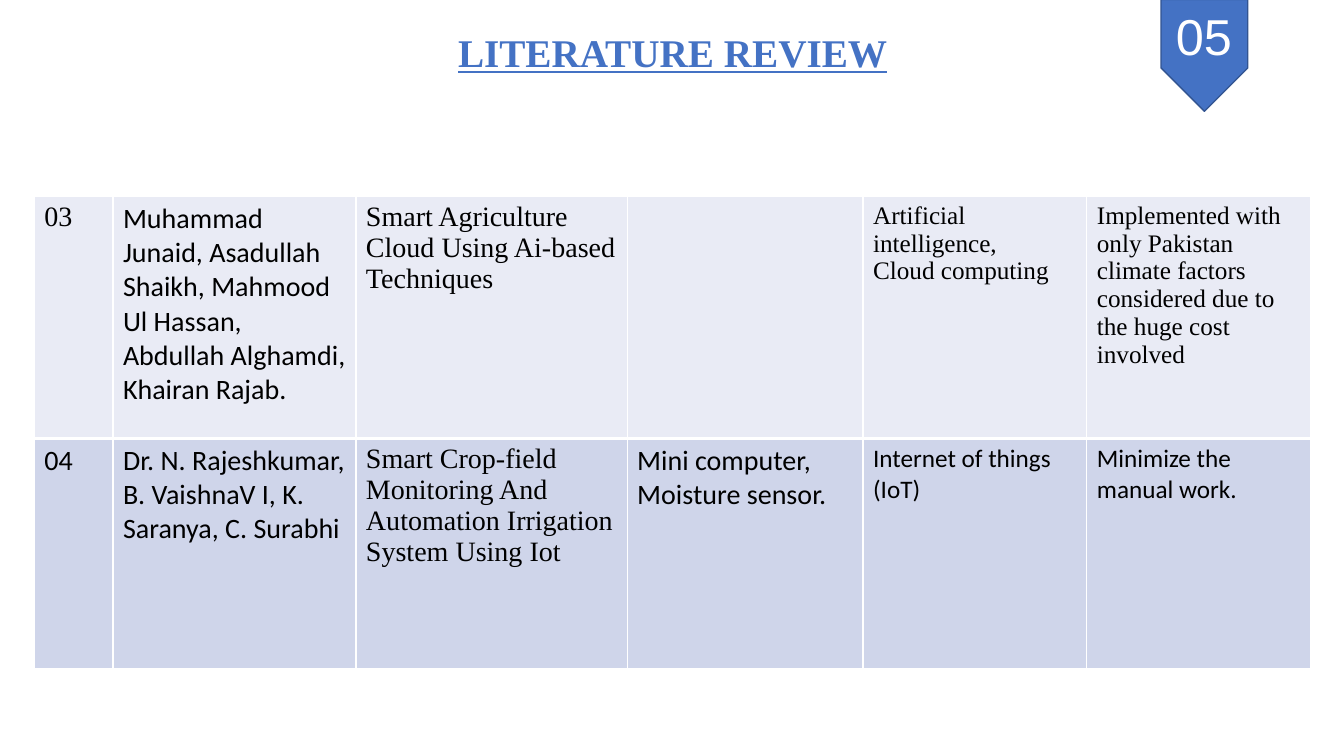
"""Build the literature review slide with its table and page badge."""
from dataclasses import dataclass

from lxml import etree
from pptx import Presentation
from pptx import util as u
from pptx.dml.color import RGBColor
from pptx.enum import shapes, text
from pptx.oxml.ns import qn
from pptx.slide import Slide
from pptx.table import _Cell as Cell
from pptx.text.text import TextFrame

PX = 9144
HUES = {"blue": "4472C4", "edge": "325491", "white": "FFFFFF",
        "black": "000000", "pale": "E9EBF5", "deep": "CFD5EA"}
SERIF, SANS = "Times New Roman", "Calibri"
COLS = [78, 241, 269, 234, 222, 222]
TALL = [240, 228]


@dataclass
class Entry:
    """Words of one table cell, a line per paragraph."""
    words: str
    face: str = SANS
    size: int = 20


ROWS = [
    [Entry("03", SERIF),
     Entry("Muhammad Junaid, Asadullah Shaikh, Mahmood Ul Hassan, "
           "Abdullah Alghamdi, Khairan Rajab."),
     Entry("Smart Agriculture Cloud Using Ai-based Techniques", SERIF),
     Entry(""),
     Entry("Artificial intelligence,\nCloud computing", SERIF, 18),
     Entry("Implemented with only Pakistan climate factors considered "
           "due to the huge cost involved", SERIF, 18)],
    [Entry("04"),
     Entry("Dr. N. Rajeshkumar, B. VaishnaV I, K. Saranya, C. Surabhi"),
     Entry("Smart Crop-field Monitoring And Automation Irrigation "
           "System Using Iot", SERIF),
     Entry("Mini computer,\nMoisture sensor."),
     Entry("Internet of things (IoT)", size=18),
     Entry("Minimize the manual work.", size=18)],
]


def px(count: int) -> u.Emu:
    """Turn px into EMU."""
    return u.Emu(count * PX)


def hue(name: str) -> RGBColor:
    """Look up a named colour."""
    return RGBColor.from_string(HUES[name])


def write(frame: TextFrame, entry: Entry, tint: str) -> None:
    """Fill a text frame and set the font of each paragraph."""
    frame.text = entry.words
    for para in frame.paragraphs:
        para.font.name = entry.face
        para.font.size = u.Pt(entry.size)
        para.font.color.rgb = hue(tint)


def border(cell: Cell, sides: dict[str, int]) -> None:
    """Draw white cell borders of the given point widths."""
    props = cell._tc.get_or_add_tcPr()
    for spot, (side, width) in enumerate(sides.items()):
        line = etree.Element(qn(f"a:ln{side}"), w=str(u.Pt(width)))
        fill = etree.SubElement(line, qn("a:solidFill"))
        etree.SubElement(fill, qn("a:srgbClr"), val=HUES["white"])
        props.insert(spot, line)


def head(slide: Slide) -> None:
    """Place and format the title."""
    title = slide.shapes.title
    title.left, title.top, title.width, title.height = map(px, (442, 23, 450, 57))
    frame = title.text_frame
    write(frame, Entry("LITERATURE REVIEW", SERIF, 28), "blue")
    frame.word_wrap = False
    frame.auto_size = text.MSO_AUTO_SIZE.SHAPE_TO_FIT_TEXT
    frame.vertical_anchor = text.MSO_ANCHOR.TOP
    para = frame.paragraphs[0]
    para.alignment = text.PP_ALIGN.CENTER
    para.font.bold = para.font.underline = True


def badge(slide: Slide) -> None:
    """Draw the page number on its downward pentagon."""
    flag = slide.shapes.add_shape(shapes.MSO_SHAPE.PENTAGON,
                                  *map(px, (1139, 12, 111, 86)))
    flag.rotation = 90
    flag.shadow.inherit = False
    flag.fill.solid()
    flag.fill.fore_color.rgb = hue("blue")
    flag.line.color.rgb = hue("edge")
    flag.line.width = u.Pt(1)
    box = slide.shapes.add_textbox(*map(px, (1151, 0, 86, 71)))
    frame = box.text_frame
    frame.word_wrap = True
    frame.auto_size = text.MSO_AUTO_SIZE.SHAPE_TO_FIT_TEXT
    write(frame, Entry("05", "Arial", 36), "white")
    frame.paragraphs[0].alignment = text.PP_ALIGN.CENTER


def grid(slide: Slide) -> None:
    """Draw the table of reviewed papers."""
    table = slide.shapes.add_table(len(TALL), len(COLS), px(34), px(195),
                                   px(sum(COLS)), px(sum(TALL))).table
    table.first_row = table.horz_banding = False
    for col, width in zip(table.columns, COLS):
        col.width = px(width)
    looks = [("pale", {"L": 1, "R": 1, "T": 1, "B": 3}),
             ("deep", {"L": 1, "R": 1, "T": 3, "B": 1})]
    for row, tall, entries, (shade, sides) in zip(table.rows, TALL, ROWS, looks):
        row.height = px(tall)
        for cell, entry in zip(row.cells, entries):
            write(cell.text_frame, entry, "black")
            cell.fill.solid()
            cell.fill.fore_color.rgb = hue(shade)
            border(cell, sides)


def main() -> None:
    """Build and save the slide."""
    deck = Presentation()
    deck.slide_width, deck.slide_height = px(1333), px(750)
    slide = deck.slides.add_slide(deck.slide_layouts.get_by_name("Title Only"))
    badge(slide)
    head(slide)
    grid(slide)
    deck.save("out.pptx")


if __name__ == "__main__":
    main()
